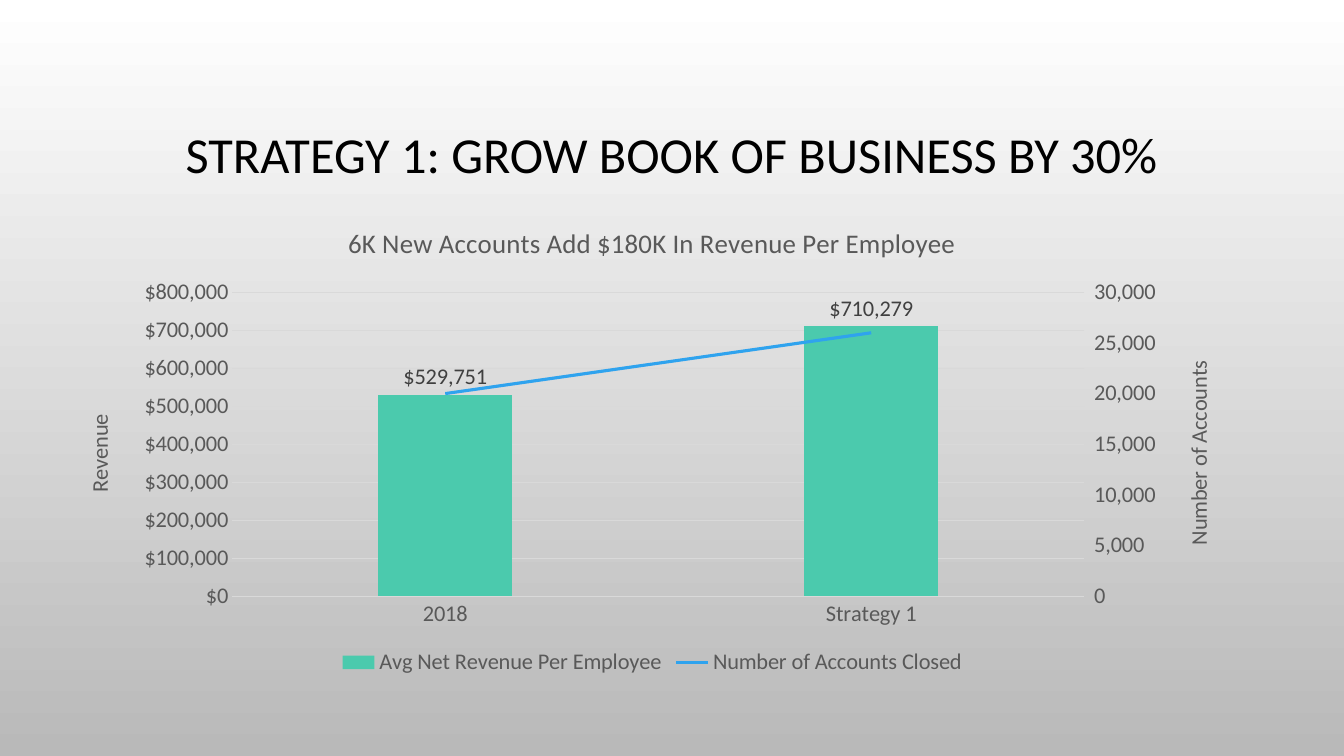
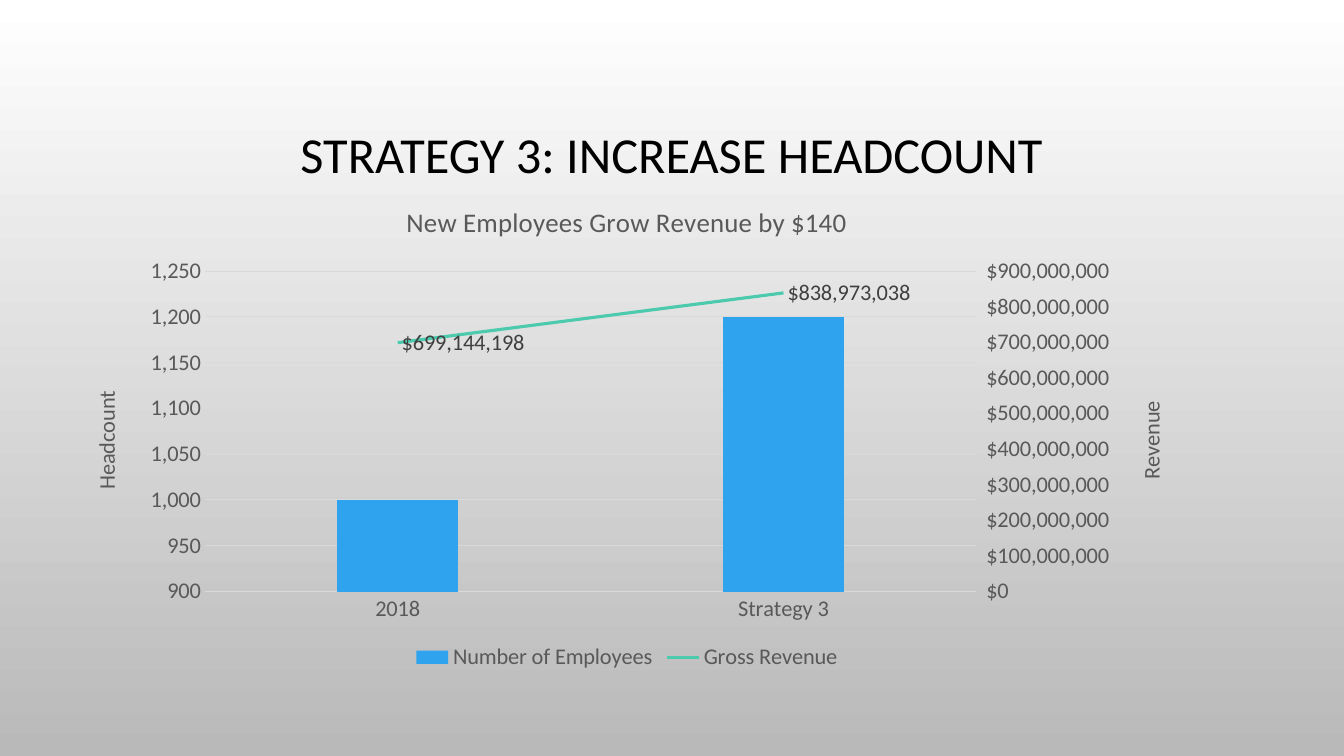
from copy import deepcopy
from dataclasses import dataclass

from pptx import Presentation
from pptx.chart.axis import ValueAxis
from pptx.chart.data import CategoryChartData
from pptx.dml.color import RGBColor
from pptx.enum.chart import (XL_CHART_TYPE, XL_LABEL_POSITION, XL_LEGEND_POSITION,
                             XL_MARKER_STYLE, XL_TICK_MARK)
from pptx.enum.text import MSO_ANCHOR, PP_ALIGN
from pptx.oxml import parse_xml
from pptx.oxml.ns import nsdecls, qn
from pptx.util import Cm, Pt


@dataclass(frozen=True)
class Theme:
    font: str = "Calibri"
    heading_size: float = 36
    chart_title_size: float = 19.2
    label_size: float = 16
    ink: str = "000000"
    muted: str = "595959"
    value: str = "404040"
    rule: str = "D9D9D9"
    teal: str = "4BCAAD"
    blue: str = "2FA3EE"
    background: tuple = ("FFFFFF", "B9B9B9")


THEME = Theme()
DOLLARS, COUNT = '"$"#,##0', "#,##0"
RIGHT_CATEGORY_ID, RIGHT_VALUE_ID = "50010", "50020"

# Each strategy: column series on the left axis, line series on the right axis
STRATEGIES = [
    {
        "heading": "STRATEGY 1: GROW BOOK OF BUSINESS BY 30%",
        "chart_title": "6K New Accounts Add $180K In Revenue Per Employee",
        "place": (1.57, 5.16, 29.74, 11.99),
        "plot_area": {"x": 0.144, "y": 0.184, "w": 0.722, "h": 0.639},
        "categories": ("2018", "Strategy 1"),
        "series": [("Avg Net Revenue Per Employee", (529751, 710279), THEME.teal),
                   ("Number of Accounts Closed", (20000, 26000), THEME.blue)],
        "axes": [("Revenue", DOLLARS, 0, 800000, 100000),
                 ("Number of Accounts", COUNT, 0, 30000, 5000)],
        "labelled": 0,
        "label_position": XL_LABEL_POSITION.OUTSIDE_END,
    },
    {
        "heading": "STRATEGY 3: INCREASE HEADCOUNT",
        "chart_title": "New Employees Grow Revenue by $140",
        "place": (1.5, 4.6, 28.6, 12.42),
        "plot_area": {"x": 0.128, "y": 0.18, "w": 0.68, "h": 0.65},
        "categories": ("2018", "Strategy 3"),
        "series": [("Number of Employees", (1000, 1200), THEME.blue),
                   ("Gross Revenue", (699144198, 838973038), THEME.teal)],
        "axes": [("Headcount", COUNT, 900, 1250, 50),
                 ("Revenue", DOLLARS, 0, 900000000, 100000000)],
        "labelled": 1,
        "label_position": XL_LABEL_POSITION.RIGHT,
    },
]


def set_values(target, values):
    for name, value in values.items():
        setattr(target, name, value)


def style_font(font, size, color):
    set_values(font, {"name": THEME.font, "size": Pt(size), "bold": False})
    font.color.rgb = RGBColor.from_string(color)


prs = Presentation()
set_values(prs, {"slide_width": Cm(33.87), "slide_height": Cm(19.05)})

# Shared background
backdrop = prs.slide_master.background.fill
backdrop.gradient()
backdrop.gradient_angle = 270
for stop, color, position in zip(backdrop.gradient_stops, THEME.background, (0, 1)):
    stop.color.rgb = RGBColor.from_string(color)
    stop.position = position

for strategy in STRATEGIES:
    slide = prs.slides.add_slide(prs.slide_layouts[6])

    # Heading
    heading = slide.shapes.add_textbox(Cm(2.54), Cm(1.73), Cm(28.78), Cm(4.45)).text_frame
    set_values(heading, {"word_wrap": True, "vertical_anchor": MSO_ANCHOR.MIDDLE,
                         "text": strategy["heading"]})
    set_values(heading.paragraphs[0], {"alignment": PP_ALIGN.CENTER, "line_spacing": 0.9})
    style_font(heading.paragraphs[0].runs[0].font, THEME.heading_size, THEME.ink)

    # Chart data
    data = CategoryChartData()
    data.categories = strategy["categories"]
    for name, values, _ in strategy["series"]:
        data.add_series(name, values)
    chart = slide.shapes.add_chart(XL_CHART_TYPE.COLUMN_CLUSTERED,
                                   *map(Cm, strategy["place"]), data).chart
    style_font(chart.font, THEME.label_size, THEME.muted)
    set_values(chart.plots[0], {"gap_width": 219, "overlap": -27, "vary_by_categories": False})

    # Second series becomes a line on its own pair of axes
    plot_area = chart.element.find(".//" + qn("c:plotArea"))
    columns = plot_area.find(qn("c:barChart"))
    line_series = columns.findall(qn("c:ser"))[1]
    for invert in line_series.findall(qn("c:invertIfNegative")):
        line_series.remove(invert)
    line_plot = parse_xml(
        f'<c:lineChart {nsdecls("c")}><c:grouping val="standard"/><c:varyColors val="0"/>'
        f'<c:marker val="1"/><c:axId val="{RIGHT_CATEGORY_ID}"/>'
        f'<c:axId val="{RIGHT_VALUE_ID}"/></c:lineChart>')
    line_plot.insert(2, line_series)
    columns.addnext(line_plot)

    left_value = plot_area.find(qn("c:valAx"))
    right_value = deepcopy(left_value)
    right_category = deepcopy(plot_area.find(qn("c:catAx")))
    left_value.addnext(right_value)
    right_value.addnext(right_category)
    for axis_xml, changes in (
            (right_value, {"axId": RIGHT_VALUE_ID, "crossAx": RIGHT_CATEGORY_ID,
                           "axPos": "r", "crosses": "max"}),
            (right_category, {"axId": RIGHT_CATEGORY_ID, "crossAx": RIGHT_VALUE_ID,
                              "delete": "1"})):
        for tag, value in changes.items():
            axis_xml.find(qn("c:" + tag)).set("val", value)

    # Plot area position, as shares of the chart
    for layout in plot_area.findall(qn("c:layout")):
        plot_area.remove(layout)
    shares = "".join(f'<c:{side} val="{share}"/>'
                     for side, share in strategy["plot_area"].items())
    plot_area.insert(0, parse_xml(
        f'<c:layout {nsdecls("c")}><c:manualLayout><c:layoutTarget val="inner"/>'
        f'<c:xMode val="edge"/><c:yMode val="edge"/>{shares}</c:manualLayout></c:layout>'))

    # Chart title and legend
    chart.has_title = True
    chart.chart_title.include_in_layout = False
    chart.chart_title.text_frame.text = strategy["chart_title"]
    style_font(chart.chart_title.text_frame.paragraphs[0].runs[0].font,
               THEME.chart_title_size, THEME.muted)
    chart.has_legend = True
    set_values(chart.legend, {"position": XL_LEGEND_POSITION.BOTTOM, "include_in_layout": False})
    style_font(chart.legend.font, THEME.label_size, THEME.muted)

    # Category axis
    chart.category_axis.major_tick_mark = XL_TICK_MARK.NONE
    style_font(chart.category_axis.tick_labels.font, THEME.label_size, THEME.muted)
    category_line = chart.category_axis.format.line
    category_line.width = Pt(0.75)
    category_line.color.rgb = RGBColor.from_string(THEME.rule)

    # Value axes
    for axis_xml, tick, gridlines, (title, number_format, low, high, step) in zip(
            (left_value, right_value), (XL_TICK_MARK.NONE, XL_TICK_MARK.OUTSIDE),
            (True, False), strategy["axes"]):
        axis = ValueAxis(axis_xml)
        set_values(axis, {"minimum_scale": low, "maximum_scale": high, "major_unit": step,
                          "major_tick_mark": tick, "has_major_gridlines": gridlines,
                          "has_title": True})
        set_values(axis.tick_labels, {"number_format": number_format,
                                      "number_format_is_linked": False})
        style_font(axis.tick_labels.font, THEME.label_size, THEME.muted)
        axis.format.line.fill.background()
        axis.axis_title.text_frame.text = title
        style_font(axis.axis_title.text_frame.paragraphs[0].runs[0].font,
                   THEME.label_size, THEME.muted)
        title_body = axis_xml.find(qn("c:title")).find(".//" + qn("a:bodyPr"))
        title_body.set("rot", "-5400000")
        title_body.set("vert", "horz")
        if gridlines:
            grid_line = axis.major_gridlines.format.line
            grid_line.width = Pt(0.75)
            grid_line.color.rgb = RGBColor.from_string(THEME.rule)

    # Series colours and value labels
    column_series, trend_series = (plot.series[0] for plot in chart.plots)
    column_color, trend_color = (color for _, _, color in strategy["series"])
    column_series.format.fill.solid()
    column_series.format.fill.fore_color.rgb = RGBColor.from_string(column_color)
    trend_series.smooth = False
    trend_series.marker.style = XL_MARKER_STYLE.NONE
    trend_series.format.line.width = Pt(2.25)
    trend_series.format.line.color.rgb = RGBColor.from_string(trend_color)
    value_labels = (column_series, trend_series)[strategy["labelled"]].data_labels
    set_values(value_labels, {"show_value": True, "number_format": DOLLARS,
                              "number_format_is_linked": False,
                              "position": strategy["label_position"]})
    style_font(value_labels.font, THEME.label_size, THEME.value)

prs.save("out.pptx")
